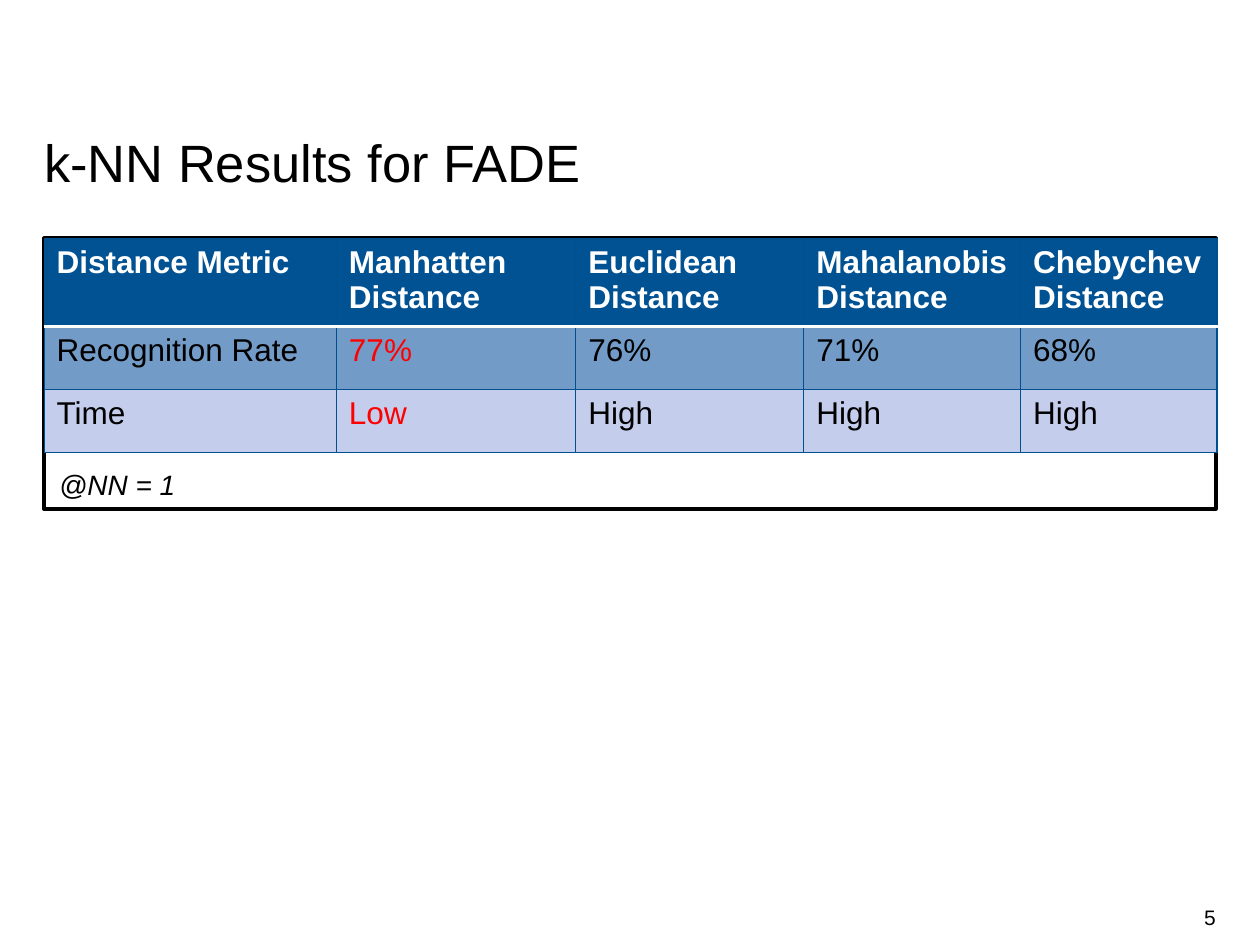
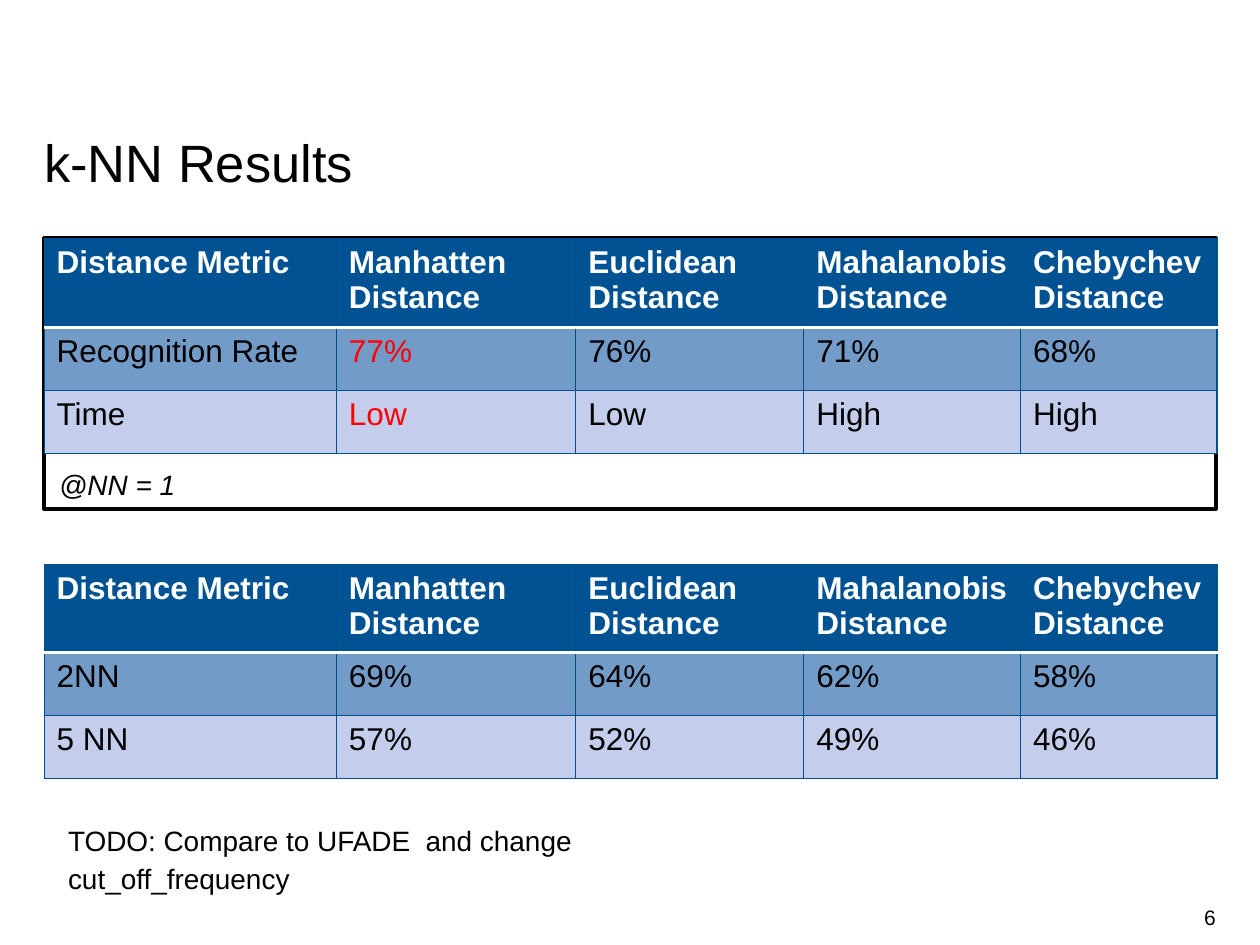
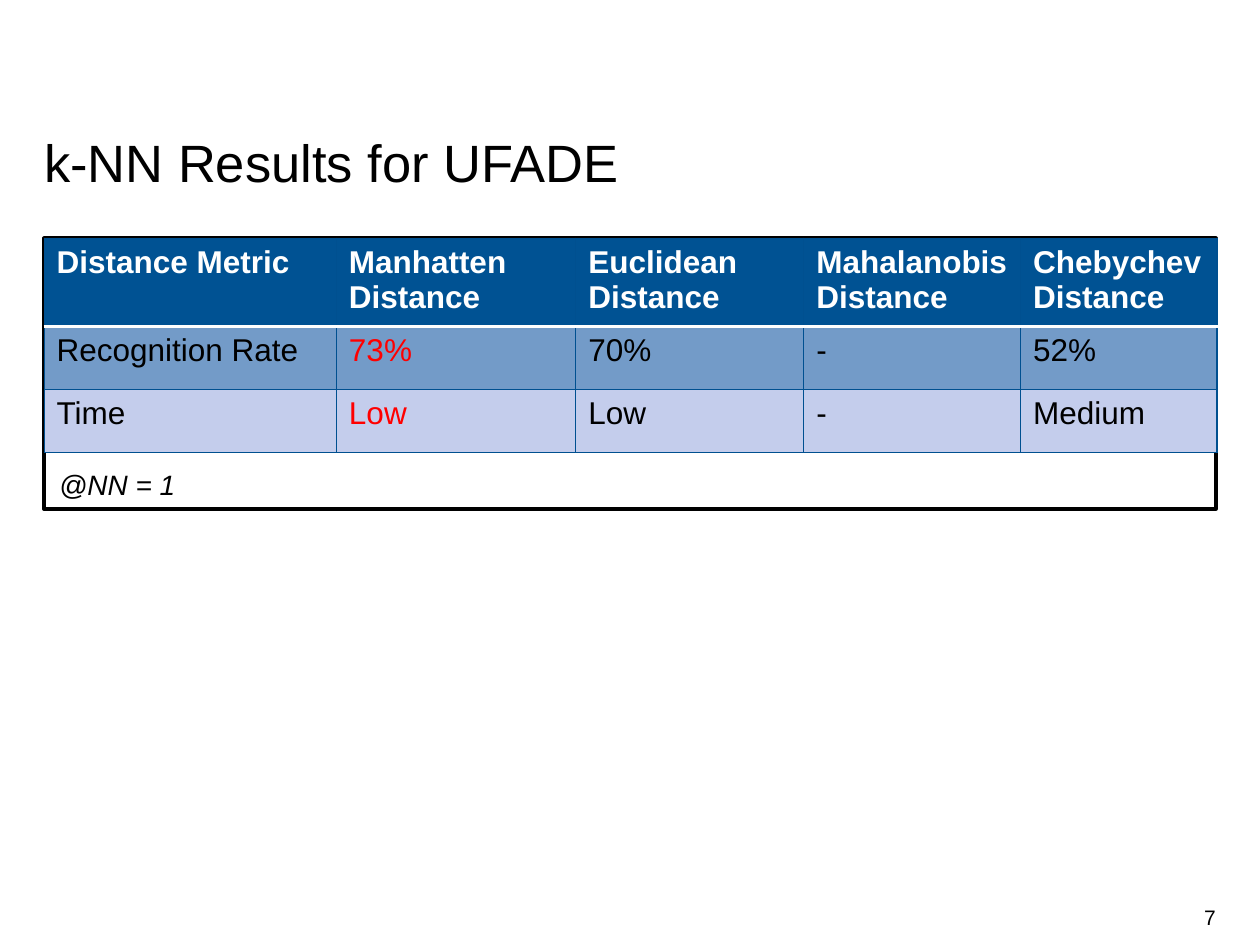
from lxml.etree import SubElement
from pptx import Presentation
from pptx.dml.color import RGBColor
from pptx.enum.shapes import MSO_SHAPE
from pptx.enum.text import MSO_ANCHOR, PP_ALIGN
from pptx.oxml.ns import qn
from pptx.util import Inches, Pt

FONT = "Arial"
BLACK, WHITE, RED = "000000", "FFFFFF", "FF0000"
HEADER_BLUE, GRID_BLUE = "005293", "005090"
ROW_FILLS = ("739BC8", "C4CDEC")

LEFT, WIDTH = 0.35, 9.3
RESULTS_TOP = 1.89
COLUMN_WIDTHS = (2.32, 1.9, 1.81, 1.72, 1.56)
HEADER_HEIGHT, ROW_HEIGHT = 0.67, 0.5
HEADINGS = ("Distance Metric", "Manhatten Distance", "Euclidean Distance",
            "Mahalanobis Distance", "Chebychev Distance")


def rgb(code):
    """Turn a hex string into a colour."""
    return RGBColor.from_string(code)


def add_run(paragraph, text, size, color=BLACK, bold=False, italic=False):
    """Add one formatted run to a paragraph."""
    run = paragraph.add_run()
    run.text = text
    font = run.font
    font.name, font.size, font.bold, font.italic = FONT, Pt(size), bold, italic
    font.color.rgb = rgb(color)


def set_frame(frame, anchor=MSO_ANCHOR.TOP, left=0, top=0, bottom=0):
    """Set wrapping, anchor and insets; return the first paragraph."""
    frame.word_wrap = True
    frame.vertical_anchor = anchor
    frame.margin_left, frame.margin_right = Inches(left), 0
    frame.margin_top, frame.margin_bottom = Inches(top), Inches(bottom)
    return frame.paragraphs[0]


def add_text(slide, box, text, size, spacing=None, align=PP_ALIGN.LEFT, **frame):
    """Place a text box holding one paragraph."""
    shape = slide.shapes.add_textbox(*map(Inches, box))
    paragraph = set_frame(shape.text_frame, **frame)
    paragraph.alignment = align
    paragraph.line_spacing = spacing
    add_run(paragraph, text, size)


def add_note_frame(slide, box, note):
    """Draw the outlined box with an italic note at its bottom."""
    outline = slide.shapes.add_shape(MSO_SHAPE.RECTANGLE, *map(Inches, box))
    outline.shadow.inherit = False
    outline.fill.background()
    outline.line.color.rgb = rgb(BLACK)
    outline.line.width = Pt(2)
    paragraph = set_frame(outline.text_frame, MSO_ANCHOR.BOTTOM, left=0.12, bottom=0.06)
    paragraph.alignment = PP_ALIGN.LEFT
    add_run(paragraph, note, 16, italic=True)


def set_border(cell, side, color, width):
    """Draw one border of a cell; side is L, R, T or B."""
    line = SubElement(cell._tc.get_or_add_tcPr(), qn(f"a:ln{side}"), w=str(Pt(width)))
    SubElement(SubElement(line, qn("a:solidFill")), qn("a:srgbClr"), val=color)


def style_cell(cell, row, text, color):
    """Fill, border and write one cell of a results table."""
    header = row == 0
    rule_side = {0: "B", 1: "T"}.get(row)
    for side in "LRTB":
        set_border(cell, side, *((WHITE, 2) if side == rule_side else (GRID_BLUE, 0.75)))
    cell.fill.solid()
    cell.fill.fore_color.rgb = rgb(HEADER_BLUE if header else ROW_FILLS[row - 1])
    add_run(cell.text_frame.paragraphs[0], text, 18, color, bold=header)


def add_results(slide, left, top, rows, best_column=None, header_height=HEADER_HEIGHT):
    """Place a table of results by distance metric, its best column in red."""
    heights = [header_height] + [ROW_HEIGHT] * len(rows)
    table = slide.shapes.add_table(len(heights), len(HEADINGS), Inches(left), Inches(top),
                                   Inches(WIDTH), Inches(sum(heights))).table
    table.horz_banding = False
    for column, width in zip(table.columns, COLUMN_WIDTHS):
        column.width = Inches(width)
    for table_row, height in zip(table.rows, heights):
        table_row.height = Inches(height)
    for r, values in enumerate((HEADINGS, *rows)):
        for c, text in enumerate(values):
            color = WHITE if r == 0 else RED if c == best_column else BLACK
            style_cell(table.cell(r, c), r, text, color)


def add_results_slide(deck, number, title, rates, times, header_height=HEADER_HEIGHT):
    """Add a slide with title, page number and the framed 1-NN results."""
    slide = deck.slides.add_slide(deck.slide_layouts[6])
    add_note_frame(slide, (LEFT, RESULTS_TOP, WIDTH, 2.15), "@NN = 1")
    add_text(slide, (7.41, 7.08, 2.24, 0.4), str(number), 12, align=PP_ALIGN.RIGHT,
             anchor=MSO_ANCHOR.MIDDLE, top=0.05, bottom=0.05)
    add_text(slide, (LEFT, 1.09, WIDTH, 0.45), title, 30, spacing=Pt(32))
    rows = (("Recognition Rate", *rates), ("Time", *times))
    add_results(slide, LEFT, RESULTS_TOP, rows, best_column=1, header_height=header_height)
    return slide


deck = Presentation()
deck.slide_width, deck.slide_height = Inches(10), Inches(7.5)

fade_rates = ("77%", "76%", "71%", "68%")
add_results_slide(deck, 5, "k-NN Results for FADE", fade_rates,
                  ("Low", "High", "High", "High"))

comparison = add_results_slide(deck, 6, "k-NN Results", fade_rates,
                               ("Low", "Low", "High", "High"), header_height=0.71)
add_results(comparison, LEFT, 4.48, (("2NN", "69%", "64%", "62%", "58%"),
                                     ("5 NN", "57%", "52%", "49%", "46%")))
add_text(comparison, (0.54, 6.5, 4.62, 0.61),
         "TODO: Compare to UFADE  and change cut_off_frequency", 16, spacing=1.14)

add_results_slide(deck, 7, "k-NN Results for UFADE", ("73%", "70%", "-", "52%"),
                  ("Low", "Low", "-", "Medium"))

deck.save("out.pptx")
